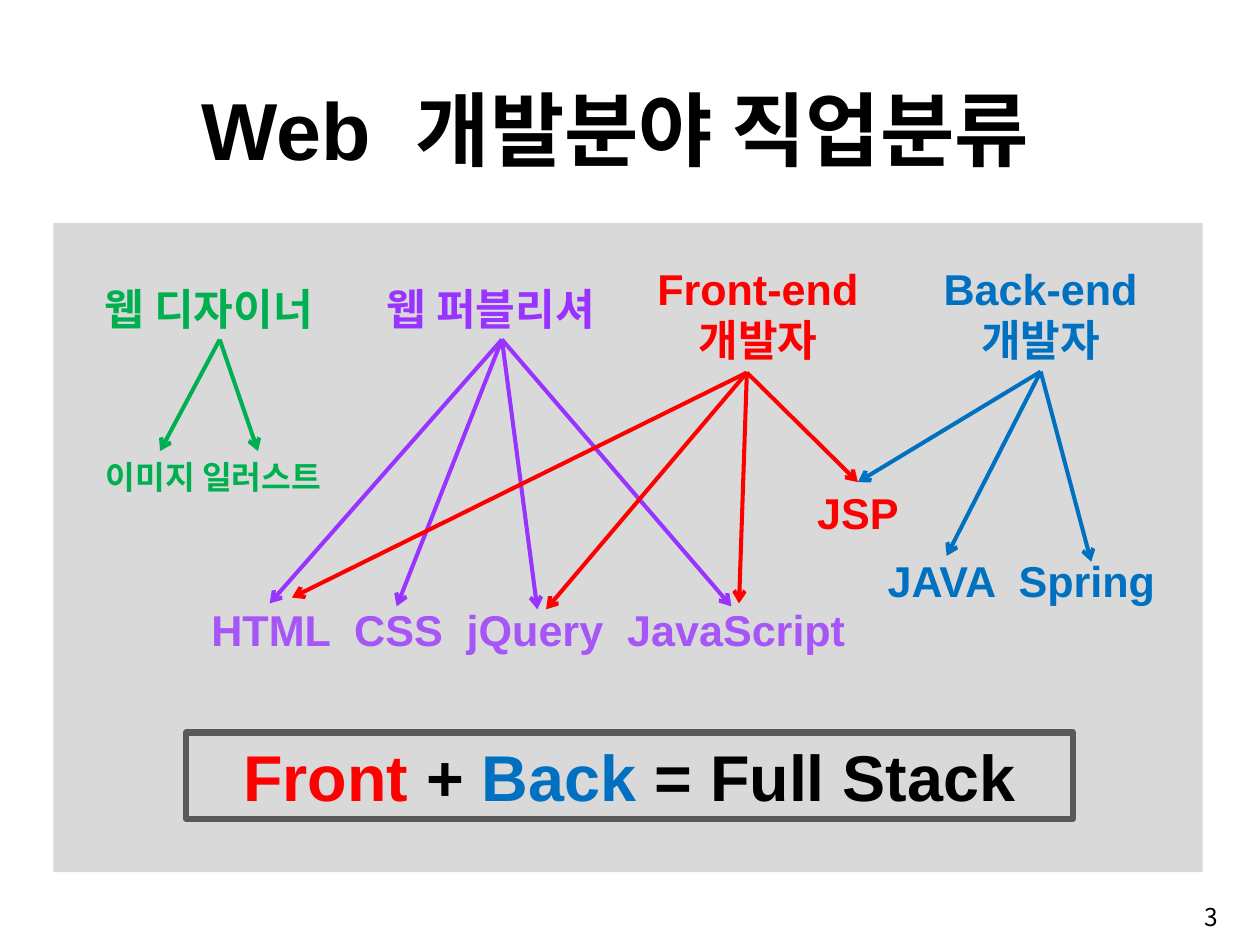
from lxml.etree import SubElement
from pptx import Presentation
from pptx.dml.color import RGBColor
from pptx.enum.shapes import MSO_CONNECTOR, MSO_SHAPE
from pptx.enum.text import MSO_ANCHOR, MSO_AUTO_SIZE, PP_ALIGN
from pptx.oxml.ns import qn
from pptx.util import Pt

COLORS = {
    "black": "000000", "panel": "D9D9D9", "frame": "595959",
    "green": "00B050", "violet": "9933FF", "lilac": "A655F7",
    "red": "FF0000", "blue": "0070C0",
}
KOREAN = "Noto Sans CJK KR"
BOTTOM, TOP = 2, 0

# Labels: text, colour, size, centred, box inside the panel
LABELS = {
    "design": ("웹 디자이너", "green", 32, False, (31, 40.3, 185, 46.1)),
    "publish": ("웹 퍼블리셔", "violet", 32, False, (240.5, 40.3, 185, 46.1)),
    "front": ("Front-end\n개발자", "red", 32, True, (440.6, 25.2, 164.9, 85)),
    "back": ("Back-end\n개발자", "blue", 32, True, (653, 25.2, 159.8, 85)),
    "tools": ("이미지 일러스트", "green", 24, False, (31.7, 169.9, 190.8, 36)),
    "client": ("HTML  CSS  jQuery  JavaScript", "lilac", 32, False,
               (110.2, 278.6, 489.6, 46.1)),
    "jsp": ("JSP", "red", 32, True, (559.4, 192.2, 75.6, 46.1)),
    "server": ("JAVA  Spring", "blue", 32, True, (611.3, 242.6, 214.6, 46.1)),
}
# Arrows: job, start (None = middle of the job's lower side), ends inside the panel
ARROWS = [
    ("design", None, [(79.2, 169.2), (151.9, 169.2)]),
    ("publish", None, [(160.6, 282.2), (254.9, 284.4), (359.3, 286.6), (503.3, 284.4)]),
    ("front", (514.8, 110.9), [(177.1, 277.9), (365.8, 286.6), (509, 282.2), "jsp"]),
    ("back", None, [(663.1, 247), (770.4, 251.3), "jsp"]),
]


def color(name):
    return RGBColor.from_string(COLORS[name])


def add_run(para, text, size, hue, bold=True, font="Arial"):
    run = para.add_run()
    run.text = text
    run.font.size, run.font.bold, run.font.name = Pt(size), bold, font
    run.font.color.rgb = color(hue)
    SubElement(run.font._element, qn("a:ea"), typeface=KOREAN)


def add_label(slide, box, text, hue, size, center=False):
    label = slide.shapes.add_textbox(*map(Pt, box))
    frame = label.text_frame
    frame.word_wrap = False
    frame.auto_size = MSO_AUTO_SIZE.SHAPE_TO_FIT_TEXT
    for i, line in enumerate(text.split("\n")):
        para = frame.add_paragraph() if i else frame.paragraphs[0]
        if center:
            para.alignment = PP_ALIGN.CENTER
        add_run(para, line, size, hue)
    return label


def add_rect(slide, box):
    rect = slide.shapes.add_shape(MSO_SHAPE.RECTANGLE, *map(Pt, box))
    rect.shadow.inherit = False
    return rect


def add_arrow(slide, start, end, hue):
    arrow = slide.shapes.add_connector(
        MSO_CONNECTOR.STRAIGHT, *map(Pt, (*start, *end)))
    arrow.line.color.rgb = color(hue)
    arrow.line.width = Pt(3)
    SubElement(arrow.line._get_or_add_ln(), qn("a:tailEnd"), type="arrow")
    SubElement(arrow._element.spPr, qn("a:effectLst"))
    return arrow


def add_panel(slide, box):
    left, top = box[:2]
    panel = add_rect(slide, box)
    panel.fill.solid()
    panel.fill.fore_color.rgb = color("panel")
    panel.line.fill.background()

    # Jobs and skills
    labels = {}
    for key, (text, hue, size, center, (x, y, w, h)) in LABELS.items():
        labels[key] = add_label(slide, (left + x, top + y, w, h),
                                text, hue, size, center)

    # Arrows from each job to its skills
    for job, start, ends in ARROWS:
        x, y = start or (0, 0)
        for end in ends:
            joined = end in labels
            u, v = (0, 0) if joined else end
            arrow = add_arrow(slide, (left + x, top + y), (left + u, top + v),
                              LABELS[job][1])
            if not start:
                arrow.begin_connect(labels[job], BOTTOM)
            if joined:
                arrow.end_connect(labels[end], TOP)

    add_sum(slide, (left + 98.6, top + 378, 658.1, 64.1))


def add_sum(slide, box):
    rect = add_rect(slide, box)
    rect.fill.background()
    rect.line.color.rgb = color("frame")
    rect.line.width = Pt(4.5)
    frame = rect.text_frame
    frame.word_wrap = True
    frame.vertical_anchor = MSO_ANCHOR.TOP
    para = frame.paragraphs[0]
    para.alignment = PP_ALIGN.CENTER
    for text, hue in [("Front ", "red"), ("+ ", "black"),
                      ("Back ", "blue"), ("= Full Stack", "black")]:
        add_run(para, text, 48, hue)


def add_page(slide, box):
    frame = slide.shapes.add_textbox(*map(Pt, box)).text_frame
    frame.word_wrap = True
    frame.vertical_anchor = MSO_ANCHOR.MIDDLE
    para = frame.paragraphs[0]
    para.alignment = PP_ALIGN.RIGHT
    add_run(para, "3", 18.2, "black", False, KOREAN)


def main():
    deck = Presentation()
    deck.slide_width, deck.slide_height = Pt(935.28), Pt(701.28)
    slide = deck.slides.add_slide(deck.slide_layouts[6])
    add_label(slide, (142.6, 55.4, 656.6, 79.9), "Web  개발분야 직업분류", "black", 60)
    add_panel(slide, (39.6, 165.6, 853.2, 481.7))
    add_page(slide, (718.6, 658.8, 193, 43.2))
    deck.save("out.pptx")


if __name__ == "__main__":
    main()
